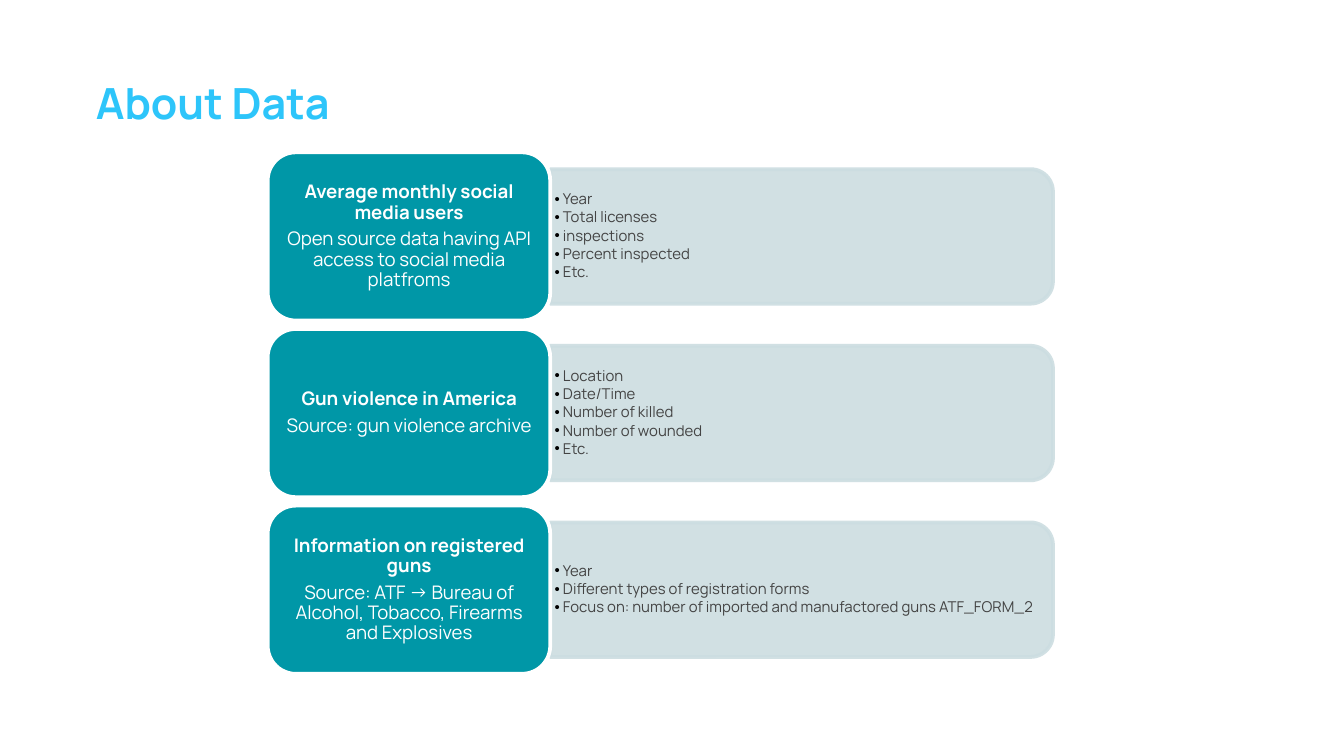
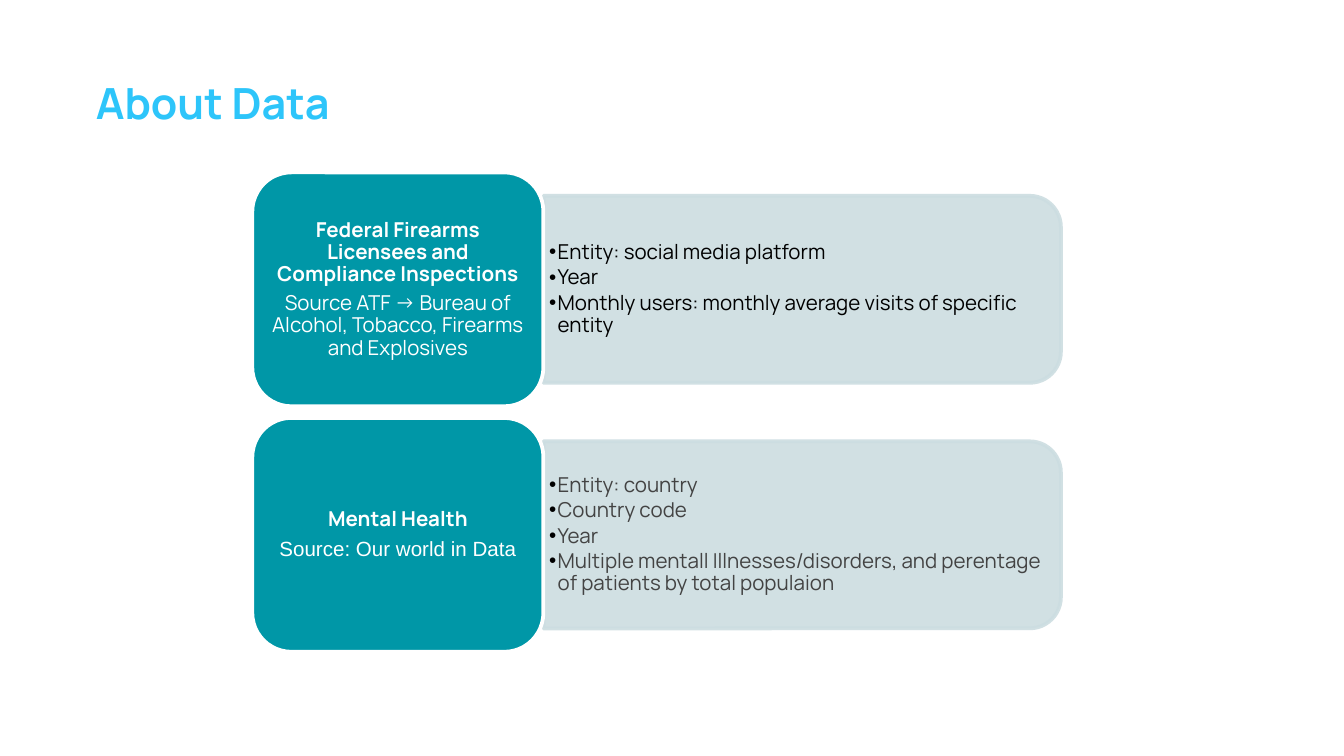
from dataclasses import dataclass

from lxml import etree
from pptx import Presentation
from pptx import util as u
from pptx.dml.color import RGBColor
from pptx.enum import shapes, text
from pptx.oxml import ns

COLOURS = {
    "title": "2DC5FA",
    "card": "0097A7",
    "panel": "CCDDE1",
    "white": "FFFFFF",
    "black": "000000",
    "grey": "434343",
}
FONT = "Manrope"
PLAIN_FONT = "Arial"
CORNER = 1 / 6          # corner radius as a share of the shorter side
CORNER_INSET = 0.29     # share of the radius lying outside the text area
PANEL_SHARE = 0.8       # panel height as a share of card height
ROW_PITCH = 1.05        # distance between rows as a share of card height


@dataclass(frozen=True)
class Source:
    name: str
    origin: str
    fields: list[str]
    origin_font: str = FONT
    field_colour: str = "grey"


@dataclass(frozen=True)
class RowGrid:
    """Lengths in centimetres, text sizes in points."""
    left: float
    top: float
    card_width: float
    card_height: float
    panel_width: float
    card_size: int
    field_size: int


@dataclass(frozen=True)
class Area:
    left: float
    top: float
    width: float
    height: float

    def lengths(self) -> list[u.Length]:
        return [u.Cm(side) for side in (self.left, self.top, self.width, self.height)]


FIRST_GRID = RowGrid(5.06, 2.88, 5.34, 3.18, 9.5, card_size=10, field_size=8)
SECOND_GRID = RowGrid(4.77, 3.26, 5.5, 4.42, 9.78, card_size=11, field_size=11)

FIRST_SOURCES = [
    Source("Average monthly social media users",
           "Open source data having API access to social media platfroms",
           ["Year", "Total licenses", "inspections", "Percent inspected", "Etc."]),
    Source("Gun violence in America",
           "Source: gun violence archive",
           ["Location", "Date/Time", "Number of killed", "Number of wounded", "Etc."]),
    Source("Information on registered guns",
           "Source: ATF → Bureau of Alcohol, Tobacco, Firearms and Explosives",
           ["Year", "Different types of registration forms",
            "Focus on: number of imported and manufactored guns ATF_FORM_2"]),
]
SECOND_SOURCES = [
    Source("Federal Firearms Licensees and Compliance Inspections",
           "Source ATF → Bureau of Alcohol, Tobacco, Firearms and Explosives",
           ["Entity: social media platform", "Year",
            "Monthly users: monthly average visits of specific entity"],
           field_colour="black"),
    Source("Mental Health",
           "Source: Our world in Data",
           ["Entity: country", "Country code", "Year",
            "Multiple mentall Illnesses/disorders, and perentage of patients "
            "by total populaion"],
           origin_font=PLAIN_FONT),
]


def colour(name: str) -> RGBColor:
    return RGBColor.from_string(COLOURS[name])


def style_runs(para, size: int, tint: str, bold: bool = False, font: str = FONT) -> None:
    for span in para.runs:
        span.font.name = font
        span.font.size = u.Pt(size)
        span.font.bold = bold
        span.font.color.rgb = colour(tint)


def add_bullet(para) -> None:
    properties = para._p.get_or_add_pPr()
    indent = u.Cm(0.16)
    properties.set("marL", str(indent))
    properties.set("indent", str(-indent))
    bullet_colour = etree.SubElement(properties, ns.qn("a:buClr"))
    etree.SubElement(bullet_colour, ns.qn("a:srgbClr"), val=COLOURS["black"])
    etree.SubElement(properties, ns.qn("a:buFont"), typeface=PLAIN_FONT)
    etree.SubElement(properties, ns.qn("a:buChar"), char="•")


def paint(shape, fill: str, line: str) -> None:
    shape.shadow.inherit = False
    shape.fill.solid()
    shape.fill.fore_color.rgb = colour(fill)
    shape.line.color.rgb = colour(line)
    shape.line.width = u.Pt(2)


def add_text_box(page, area: Area, lines: list[str], size: int, gap: float):
    """Add a box with middle anchoring whose margins and spacing follow the text size."""
    box = page.shapes.add_textbox(*area.lengths())
    frame = box.text_frame
    frame.word_wrap = True
    frame.vertical_anchor = text.MSO_ANCHOR.MIDDLE
    frame.margin_left = frame.margin_right = u.Cm(0.01 * size)
    frame.margin_top = frame.margin_bottom = u.Cm(0.05)
    frame.text = "\n".join(lines)
    for para in frame.paragraphs:
        para.line_spacing = 0.9
        para.space_after = u.Pt(gap * size)
    return box


def add_panel(page, area: Area) -> None:
    """Draw a panel rounded on its right side only."""
    upright = Area(area.left + (area.width - area.height) / 2,
                   area.top + (area.height - area.width) / 2,
                   area.height, area.width)
    panel = page.shapes.add_shape(shapes.MSO_SHAPE.ROUND_2_SAME_RECTANGLE,
                                  *upright.lengths())
    panel.rotation = 90
    paint(panel, "panel", "panel")
    for tint in panel._element.spPr.iter(ns.qn("a:srgbClr")):
        etree.SubElement(tint, ns.qn("a:alpha"), val="90000")


def add_fields(page, panel: Area, source: Source, size: int) -> None:
    inset = CORNER * CORNER_INSET * panel.height
    area = Area(panel.left, panel.top + inset, panel.width - inset,
                panel.height - 2 * inset)
    box = add_text_box(page, area, source.fields, size, gap=0.15)
    for para in box.text_frame.paragraphs:
        para.level = 1
        add_bullet(para)
        style_runs(para, size, source.field_colour)


def add_card(page, area: Area, source: Source, size: int) -> None:
    card = page.shapes.add_shape(shapes.MSO_SHAPE.ROUNDED_RECTANGLE, *area.lengths())
    paint(card, "card", "white")
    inset = CORNER * CORNER_INSET * area.height
    label_area = Area(area.left + inset, area.top + inset,
                      area.width - 2 * inset, area.height - 2 * inset)
    label = add_text_box(page, label_area, [source.name, source.origin], size, gap=0.35)
    name, origin = label.text_frame.paragraphs
    for para in (name, origin):
        para.alignment = text.PP_ALIGN.CENTER
    style_runs(name, size, "white", bold=True)
    style_runs(origin, size, "white", font=source.origin_font)


def add_title(page, words: str) -> None:
    title = page.shapes.title
    title.left, title.top, title.width, title.height = Area(1.56, 1.2, 13.56, 1.37).lengths()
    frame = title.text_frame
    frame.text = words
    frame.word_wrap = True
    frame.auto_size = text.MSO_AUTO_SIZE.NONE
    frame.vertical_anchor = text.MSO_ANCHOR.TOP
    frame.margin_left = frame.margin_right = u.Cm(0.25)
    frame.margin_top = frame.margin_bottom = u.Cm(0.25)
    para = frame.paragraphs[0]
    para.alignment = text.PP_ALIGN.LEFT
    para.space_after = u.Pt(16)
    style_runs(para, 23, "title", bold=True)


def add_data_page(deck, sources: list[Source], grid: RowGrid) -> None:
    page = deck.slides.add_slide(deck.slide_layouts.get_by_name("Title Only"))
    add_title(page, "About Data")
    panel_height = PANEL_SHARE * grid.card_height
    for row, source in enumerate(sources):
        top = grid.top + row * ROW_PITCH * grid.card_height
        card = Area(grid.left, top, grid.card_width, grid.card_height)
        panel = Area(grid.left + grid.card_width,
                     top + (grid.card_height - panel_height) / 2,
                     grid.panel_width, panel_height)
        add_panel(page, panel)
        add_fields(page, panel, source, grid.field_size)
        add_card(page, card, source, grid.card_size)


def main() -> None:
    deck = Presentation()
    deck.slide_width, deck.slide_height = u.Cm(25.4), u.Cm(14.29)
    add_data_page(deck, FIRST_SOURCES, FIRST_GRID)
    add_data_page(deck, SECOND_SOURCES, SECOND_GRID)
    deck.save("out.pptx")


if __name__ == "__main__":
    main()
